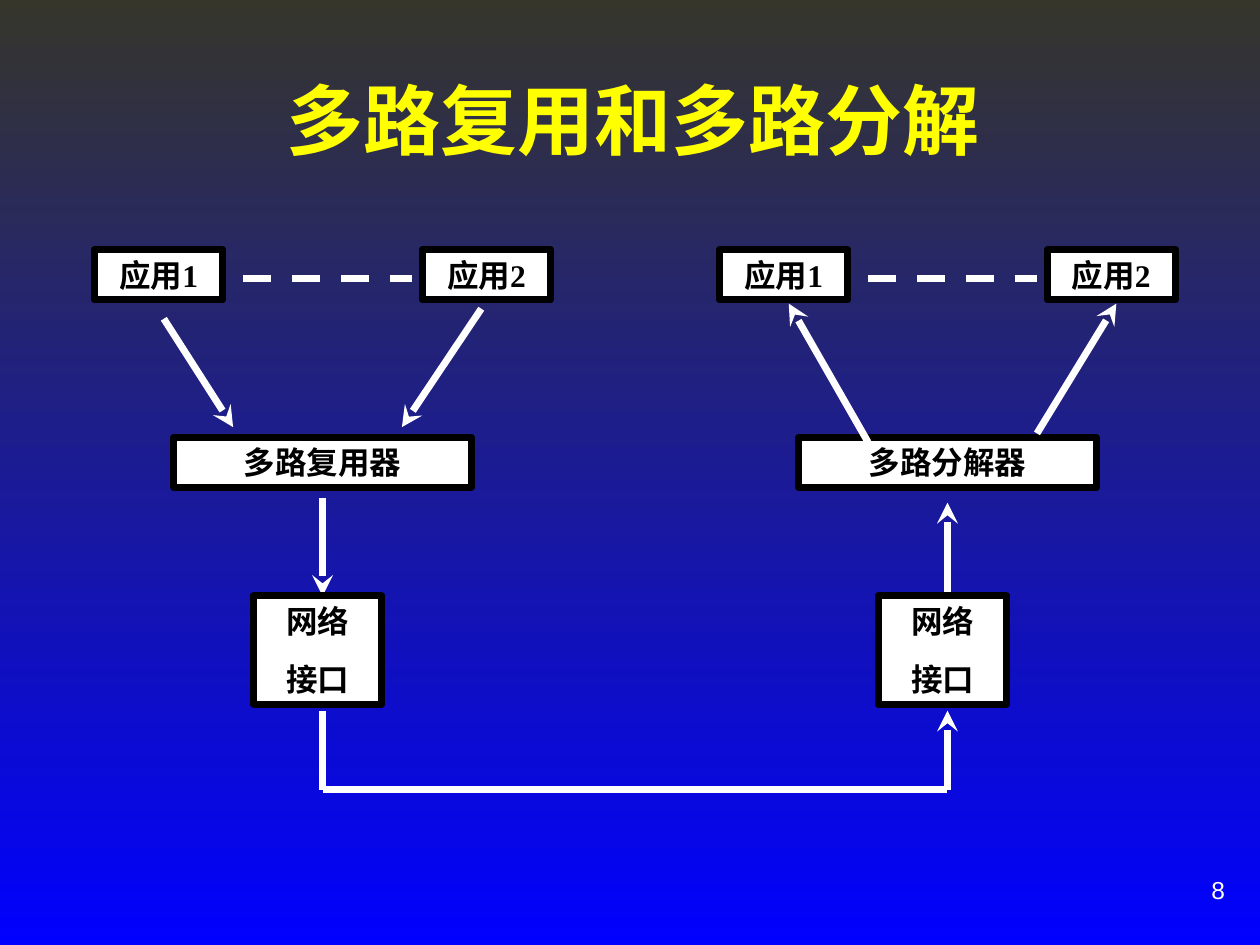
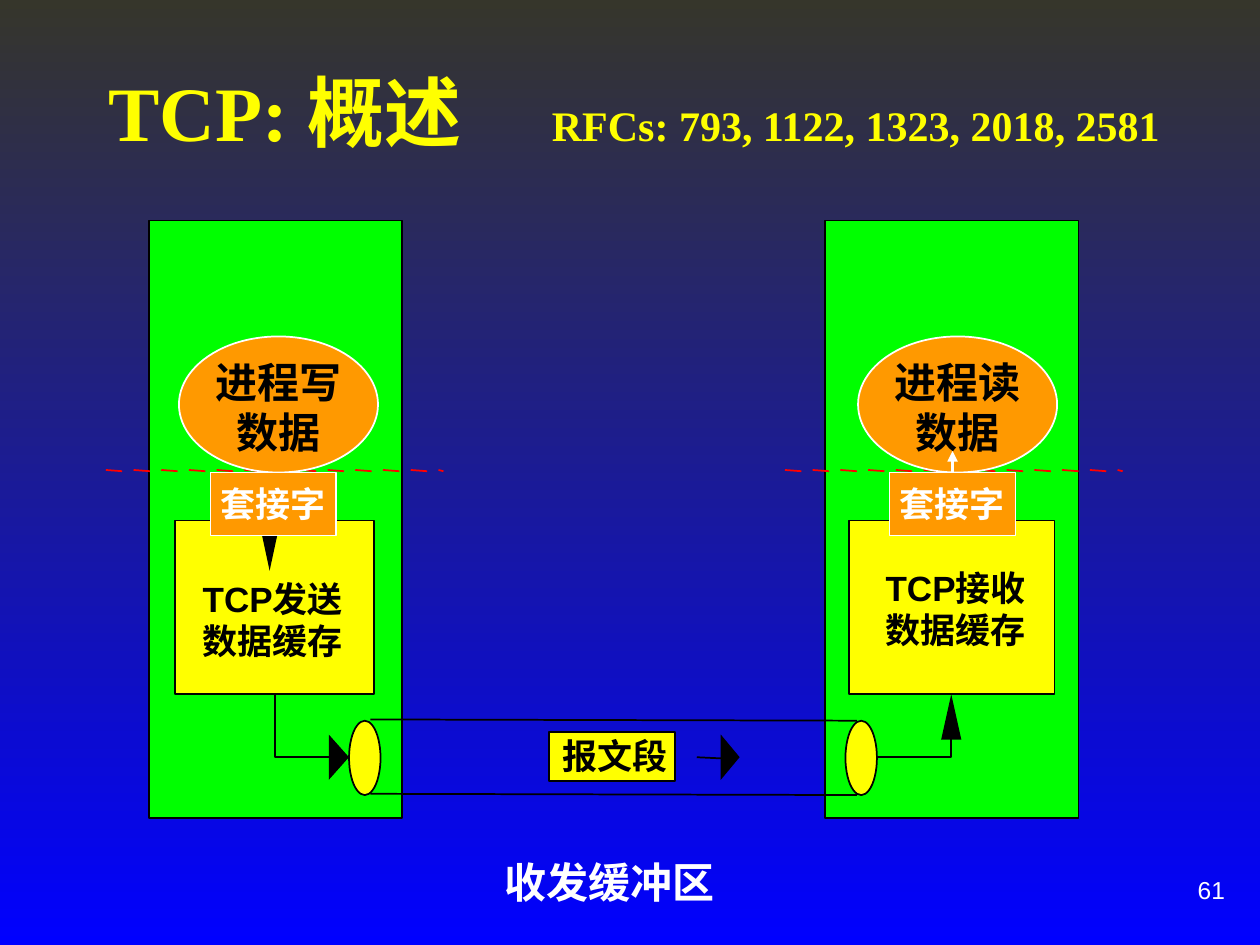
from lxml import etree
from pptx import Presentation
from pptx.dml.color import RGBColor
from pptx.enum.dml import MSO_LINE
from pptx.enum.shapes import MSO_CONNECTOR, MSO_SHAPE
from pptx.enum.text import MSO_ANCHOR, PP_ALIGN
from pptx.oxml.ns import qn
from pptx.util import Inches, Pt

RECT, OVAL = MSO_SHAPE.RECTANGLE, MSO_SHAPE.OVAL
LEFT, MID, RIGHT = PP_ALIGN.LEFT, PP_ALIGN.CENTER, PP_ALIGN.RIGHT
TOP, CENTER = MSO_ANCHOR.TOP, MSO_ANCHOR.MIDDLE
DASH = MSO_LINE.DASH
STRAIGHT = MSO_CONNECTOR.STRAIGHT
SERIF, SANS, COMIC = "Times New Roman", "Arial", "Comic Neue"
WHITE, BLACK, YELLOW = "FFFFFF", "000000", "FFFF00"
GREEN, ORANGE, RED = "00FF00", "FF9900", "FF0000"
hue = RGBColor.from_string


def box(sl, at, text="", kind=None, fill=None, edge=BLACK, width=1, size=18,
        face=SANS, ink=BLACK, bold=True, align=MID, anchor=TOP,
        pad=(0.1, 0.05), wrap=True):
    """Add a shape, or a text box when no kind is given."""
    at = [Inches(v) for v in at]
    if kind is None:
        item = sl.shapes.add_textbox(*at)
    else:
        item = sl.shapes.add_shape(kind, *at)
        item.shadow.inherit = False
        item.fill.solid()
        item.fill.fore_color.rgb = hue(fill)
        item.line.color.rgb = hue(edge)
        item.line.width = Pt(width)
    if text:
        frame = item.text_frame
        frame.word_wrap = wrap
        frame.vertical_anchor = anchor
        frame.margin_left = frame.margin_right = Inches(pad[0])
        frame.margin_top = frame.margin_bottom = Inches(pad[1])
        frame.text = text
        for n, para in enumerate(frame.paragraphs):
            para.alignment = align
            if n:
                para.space_before = Pt(11.2)
            font = para.font
            font.name, font.size, font.bold = face, Pt(size), bold
            font.color.rgb = hue(ink)
    return item


def link(sl, x1, y1, x2, y2, ink=WHITE, width=4, dash=None, head=None):
    """Add a straight line, with an arrowhead at its end if asked."""
    item = sl.shapes.add_connector(
        STRAIGHT, Inches(x1), Inches(y1), Inches(x2), Inches(y2))
    item.line.color.rgb = hue(ink)
    item.line.width = Pt(width)
    if dash:
        item.line.dash_style = dash
    props = item._element.spPr
    if head:
        etree.SubElement(props.find(qn("a:ln")), qn("a:tailEnd"), type=head)
    etree.SubElement(props, qn("a:effectLst"))
    return item


deck = Presentation()
deck.slide_width, deck.slide_height = Inches(10), Inches(7.5)

# Shared background, page number and title
slides, titles = [], []
for page, name, at, align in [
        ("8", "多路复用和多路分解", (0.8, 0.32, 8.45, 1.25), MID),
        ("61", "TCP: 概述", (0.58, 0.25, 8.91, 1.25), LEFT)]:
    sl = deck.slides.add_slide(deck.slide_layouts[6])
    back = sl.background.fill
    back.gradient()
    back.gradient_angle = 270
    for stop, ink in zip(back.gradient_stops, ("36362B", "0000FF")):
        stop.color.rgb = hue(ink)
    box(sl, (7.17, 6.81, 2.65, 0.5), page, size=14, ink=WHITE, bold=False,
        align=RIGHT, anchor=CENTER)
    titles.append(box(sl, at, name, size=44, face=SERIF, ink=YELLOW,
                      align=align, anchor=CENTER))
    slides.append(sl)

# Slide 1: sender on the left, receiver on the right
sl = slides[0]
node = dict(kind=RECT, fill=WHITE, width=4, face=SERIF)
for dx, name, arrows in [
        (0, "多路复用器", [(1.3, 2.53, 1.85, 3.39), (3.82, 2.45, 3.19, 3.39),
                      (2.56, 3.95, 2.56, 4.73)]),
        (4.96, "多路分解器", [(6.89, 3.51, 6.26, 2.41), (8.23, 3.44, 8.86, 2.41),
                         (7.52, 4.77, 7.52, 3.99)])]:
    for n in range(2):
        box(sl, (0.75 + 2.6 * n + dx, 1.98, 1.02, 0.4), f"应用{n + 1}", **node)
    link(sl, 1.93 + dx, 2.21, 3.27 + dx, 2.21, dash=DASH)
    box(sl, (1.38 + dx, 3.47, 2.36, 0.4), name, **node)
    for ends in arrows:
        link(sl, *ends, head="stealth")
    box(sl, (2.01 + dx, 4.73, 1.02, 0.86), "网络\n接口", **node)

# Network path between both interfaces
link(sl, 2.56, 5.64, 2.56, 6.27)
link(sl, 2.56, 6.27, 7.52, 6.27)
link(sl, 7.52, 6.27, 7.52, 5.64, head="stealth")

# Slide 2: the title goes on with the RFC list at a tab stop
sl = slides[1]
titles[1].text_frame.margin_left = Inches(0.28)
para = titles[1].text_frame.paragraphs[0]
tabs = etree.Element(qn("a:tabLst"))
etree.SubElement(tabs, qn("a:tab"), pos=str(Inches(3.52)), algn="l")
para._p.pPr.insert(0, tabs)
run = para.add_run()
run.text = "\tRFCs: 793, 1122, 1323, 2018, 2581"
run.font.size = Pt(24)

# Hosts with their buffers
for host, buf, wide in [(1.18, 1.39, 1.58), (6.55, 6.74, 1.63)]:
    box(sl, (host, 1.75, 2.01, 4.74), kind=RECT, fill=GREEN)
    box(sl, (buf, 4.13, wide, 1.38), kind=RECT, fill=YELLOW)
for x, y, text in [(1.5, 4.58, "TCP发送数据缓存"), (6.92, 4.5, "TCP接收数据缓存")]:
    box(sl, (x, y, 1.33, 0.67), text, size=20, pad=(0, 0))

# Pipe and segment
for x in (2.77, 6.71):
    box(sl, (x, 5.72, 0.25, 0.59), kind=OVAL, fill=YELLOW)
for y in (5.71, 6.3):
    link(sl, 2.94, y, 6.8, y + 0.01, BLACK, 1)
box(sl, (4.36, 5.81, 1, 0.39), kind=RECT, fill=YELLOW)
box(sl, (4.46, 5.83, 0.84, 0.33), "报文段", size=20, pad=(0, 0), wrap=False)
link(sl, 5.53, 6.01, 5.74, 6.02, BLACK, 1)

# Bent lines (open) and arrowheads (closed)
for shut, pts in [
        (False, [(2.18, 5.51), (2.18, 6.01), (2.63, 6.01)]),
        (False, [(6.96, 6.01), (7.55, 6.01), (7.55, 5.83)]),
        (True, [(2.2, 4.25), (2.14, 4.53), (2.08, 4.25)]),
        (True, [(2.61, 5.83), (2.77, 6.01), (2.61, 6.19)]),
        (True, [(5.72, 5.83), (5.87, 6.01), (5.72, 6.19)]),
        (True, [(7.47, 5.87), (7.55, 5.51), (7.63, 5.87)])]:
    pts = [(Inches(x), Inches(y)) for x, y in pts]
    pen = sl.shapes.build_freeform(*pts[0])
    pen.add_line_segments(pts[1:], close=shut)
    form = pen.convert_to_shape()
    form.shadow.inherit = False
    if shut:
        form.fill.solid()
        form.fill.fore_color.rgb = hue(BLACK)
        form.line.fill.background()
    else:
        form.fill.background()
        form.line.color.rgb = hue(BLACK)
        form.line.width = Pt(1)

# Processes and sockets above the dashed system border
for dx, text in [(0, "进程写数据"), (5.39, "进程读数据")]:
    for n in range(13):
        x = 0.84 + 0.22 * n + dx
        link(sl, x, 3.73, x + (0.13 if n < 12 else 0.04), 3.74, RED, 1)
    box(sl, (1.42 + dx, 2.67, 1.58, 1.08), kind=OVAL, fill=ORANGE, edge=WHITE)
    box(sl, (1.67 + dx, 2.83, 1.08, 0.8), text, size=24, pad=(0, 0))
    socket = box(sl, (1.67 + dx, 3.75, 1, 0.5), "套接字", RECT, ORANGE, WHITE,
                 size=20, face=COMIC, ink=WHITE, anchor=CENTER, wrap=False)
rise = link(sl, 7.56, 3.75, 7.56, 3.58, width=2, head="triangle")
rise.begin_connect(socket, 0)

# Caption
box(sl, (3.42, 6.75, 2.83, 0.5), "收发缓冲区", size=24, face=COMIC, ink=WHITE)

deck.save("out.pptx")
